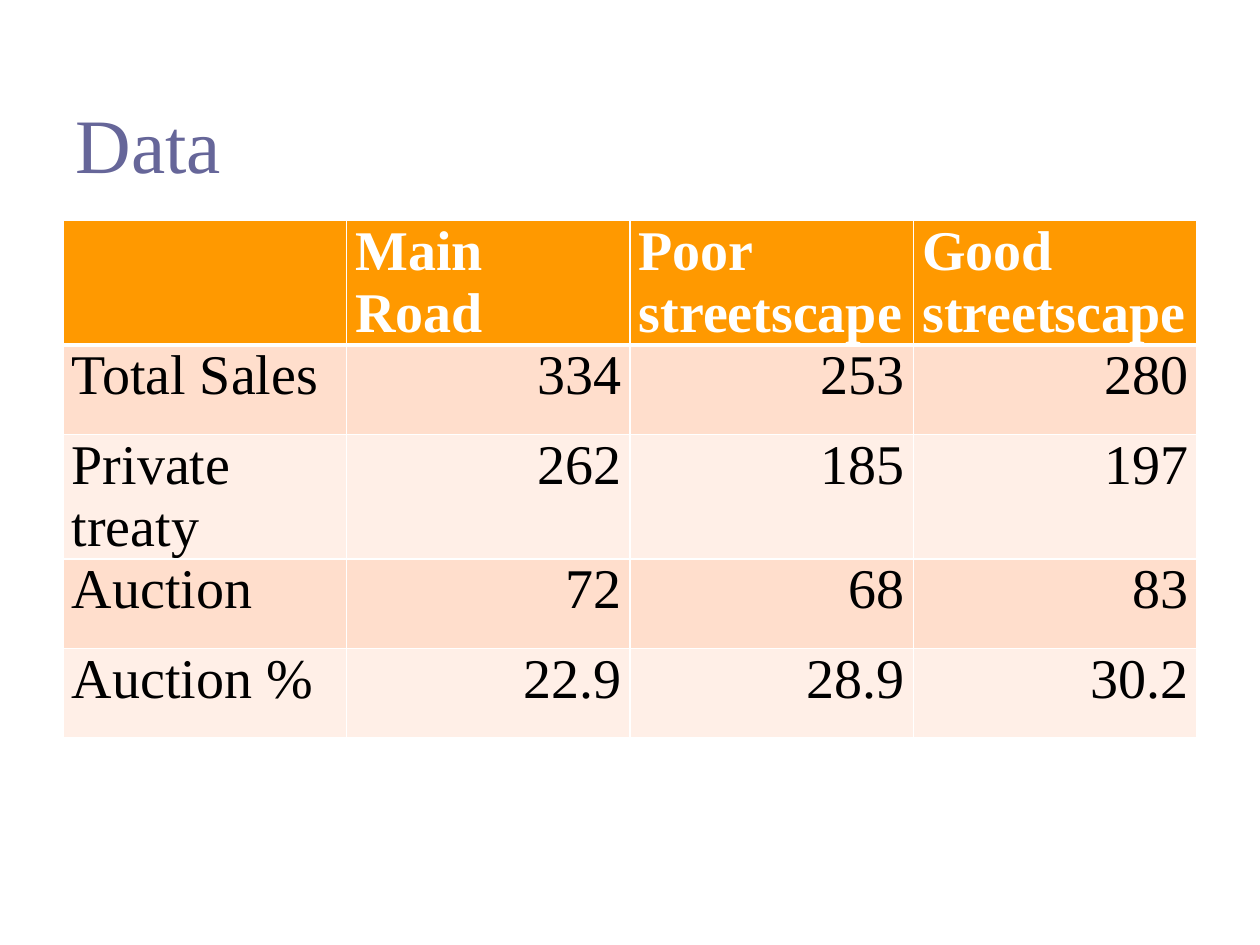
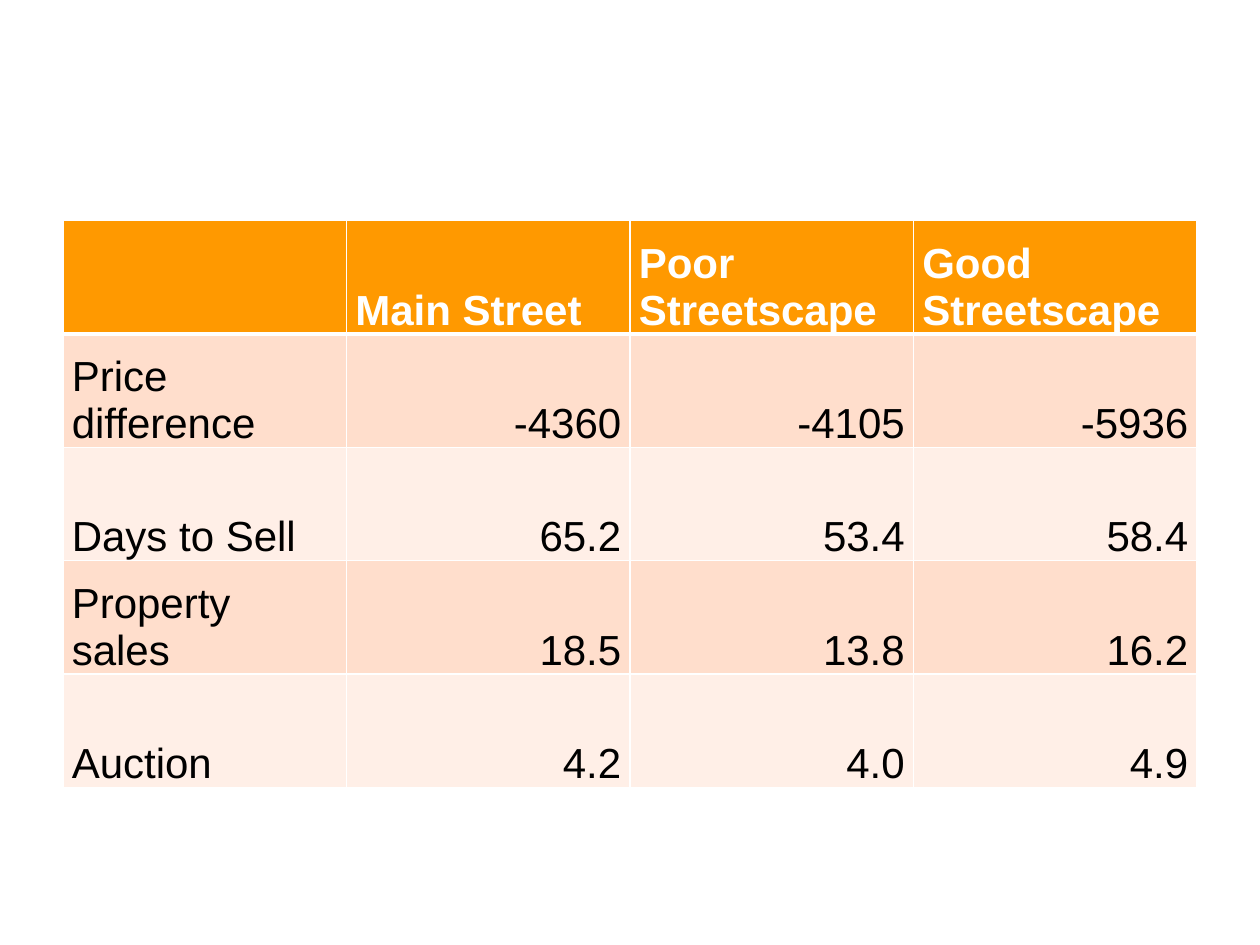
import pptx
import pptx.dml.color
import pptx.enum.text
import pptx.oxml
import pptx.oxml.ns
import pptx.util

Pt = pptx.util.Pt
Inches = pptx.util.Inches
Align = pptx.enum.text.PP_ALIGN
Anchor = pptx.enum.text.MSO_ANCHOR


def color(code):
    return pptx.dml.color.RGBColor.from_string(code)


class Deck:
    COLS, ROWS = 40, 30
    SERIF, SANS = "Times New Roman", "Arial"
    TITLE, HEAD, WHITE, BLACK = "666699", "FF9900", "FFFFFF", "000000"
    BANDS = ("FFDECC", "FFEFE7")
    LEFT, WIDTH = 2, 36

    def __init__(self):
        self.file = pptx.Presentation()
        self.file.slide_width = Inches(10)
        self.file.slide_height = Inches(7.5)
        self.slide = None

    def x(self, cols):
        return round(self.file.slide_width * cols / self.COLS)

    def y(self, rows):
        return round(self.file.slide_height * rows / self.ROWS)

    def add(self, title=None):
        layout = self.file.slide_layouts[5 if title else 6]
        self.slide = self.file.slides.add_slide(layout)
        fill = self.slide.background.fill
        fill.solid()
        fill.fore_color.rgb = color(self.WHITE)
        if title:
            self.title(title)

    def title(self, text):
        box = self.slide.shapes.title
        box.left, box.top = self.x(self.LEFT), self.y(1.2)
        box.width, box.height = self.x(self.WIDTH), self.y(5)
        frame = box.text_frame
        frame.auto_size = pptx.enum.text.MSO_AUTO_SIZE.NONE
        frame.vertical_anchor = Anchor.BOTTOM
        self.label(frame, text, self.SERIF, 44, self.TITLE)

    def label(self, frame, text, font, size, ink, bold=False, align=Align.LEFT):
        para = frame.paragraphs[0]
        para.alignment = align
        run = para.add_run()
        run.text = text
        run.font.name = font
        run.font.size = Pt(size)
        run.font.bold = bold
        run.font.color.rgb = color(ink)

    def border(self, cell, top, bottom):
        props = cell._tc.get_or_add_tcPr()
        space = pptx.oxml.ns.nsdecls("a")
        sides = (("L", 1), ("R", 1), ("T", top), ("B", bottom))
        for spot, (side, width) in enumerate(sides):
            line = pptx.oxml.parse_xml(
                f'<a:ln{side} {space} w="{Pt(width)}"><a:solidFill>'
                f'<a:srgbClr val="{self.WHITE}"/></a:solidFill></a:ln{side}>')
            props.insert(spot, line)

    def table(self, data, font, size, step, anchor):
        count, wide = len(data), len(data[0])
        grid = self.slide.shapes.add_table(
            count, wide, self.x(self.LEFT), self.y(7),
            self.x(self.WIDTH), self.y(step * count)).table
        for row, values in enumerate(data):
            grid.rows[row].height = self.y(step)
            head = row == 0
            for col, text in enumerate(values):
                cell = grid.cell(row, col)
                cell.margin_left = cell.margin_right = Inches(0.07)
                cell.margin_top = cell.margin_bottom = 0
                cell.vertical_anchor = anchor
                cell.fill.solid()
                shade = self.HEAD if head else self.BANDS[(row - 1) % 2]
                cell.fill.fore_color.rgb = color(shade)
                self.border(cell, 3 if row == 1 else 1, 3 if head else 1)
                if text:
                    align = Align.RIGHT if row and col else Align.LEFT
                    ink = self.WHITE if head else self.BLACK
                    self.label(cell.text_frame, text, font, size, ink, head, align)


def main():
    deck = Deck()
    deck.add("Data")
    deck.table([
        ("", "Main Road", "Poor streetscape", "Good streetscape"),
        ("Total Sales", "334", "253", "280"),
        ("Private treaty", "262", "185", "197"),
        ("Auction", "72", "68", "83"),
        ("Auction %", "22.9", "28.9", "30.2"),
    ], deck.SERIF, 32, 2.84, Anchor.TOP)
    deck.add()
    deck.table([
        ("", "Main Street", "Poor Streetscape", "Good Streetscape"),
        ("Price difference", "-4360", "-4105", "-5936"),
        ("Days to Sell", "65.2", "53.4", "58.4"),
        ("Property sales", "18.5", "13.8", "16.2"),
        ("Auction", "4.2", "4.0", "4.9"),
    ], deck.SANS, 24, 3.6, Anchor.BOTTOM)
    deck.file.save("out.pptx")


if __name__ == "__main__":
    main()
